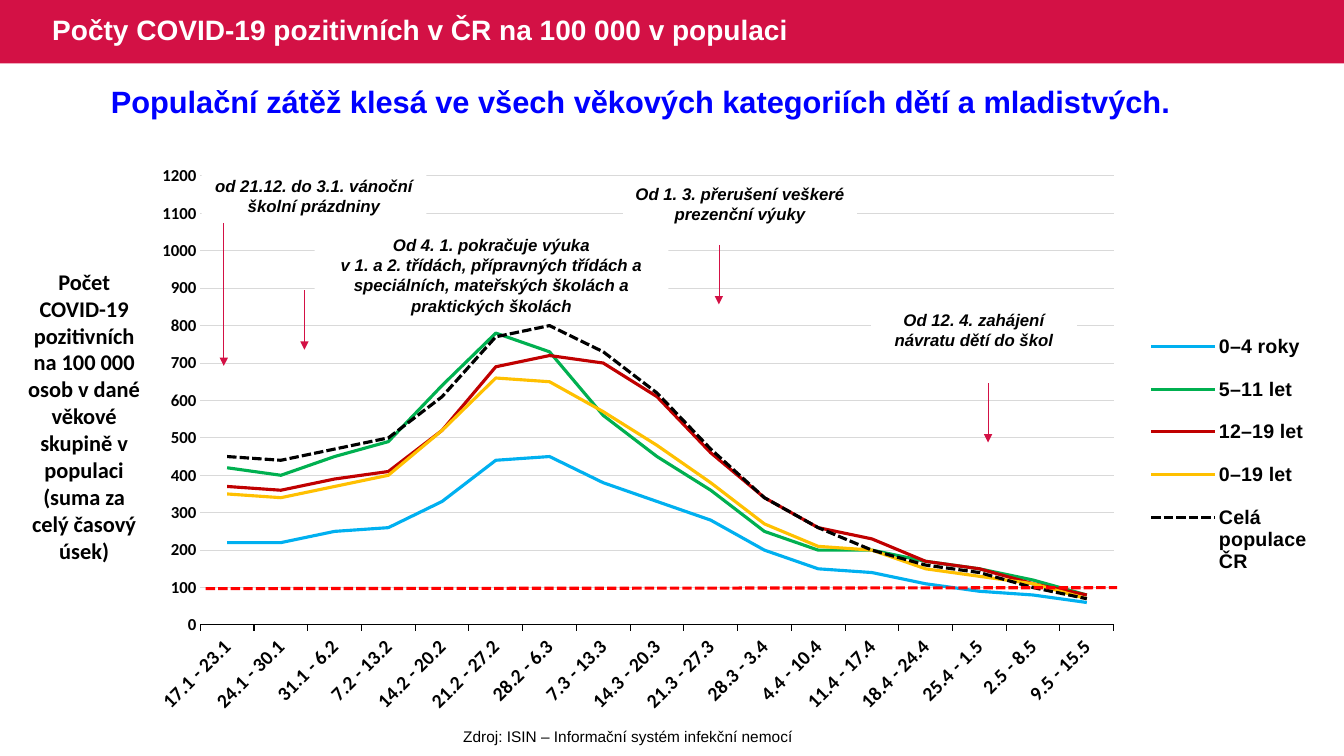
from lxml import etree
from pptx import Presentation
from pptx.chart.data import CategoryChartData as Data
from pptx.dml.color import RGBColor as RGB
from pptx.enum.chart import XL_CHART_TYPE as Kind, XL_LEGEND_POSITION as Side, XL_TICK_MARK as Tick
from pptx.enum.dml import MSO_LINE_DASH_STYLE as Dash
from pptx.enum.shapes import MSO_CONNECTOR as Conn, MSO_SHAPE as Form
from pptx.enum.text import MSO_ANCHOR as Anchor, PP_ALIGN as Align
from pptx.oxml.ns import qn
from pptx.util import Inches, Pt

HUES = {
    "crimson": "D31145", "white": "FFFFFF", "black": "000000",
    "blue": "0000FF", "red": "FF0000", "grid": "D9D9D9",
    "sky": "00B0F0", "green": "00B050", "wine": "C00000", "gold": "FFC000",
}
WEEKS = [
    "17.1 - 23.1", "24.1 - 30.1", "31.1 - 6.2", "7.2 - 13.2", "14.2 - 20.2",
    "21.2 - 27.2", "28.2 - 6.3", "7.3 - 13.3", "14.3 - 20.3", "21.3 - 27.3",
    "28.3 - 3.4", "4.4 - 10.4", "11.4 - 17.4", "18.4 - 24.4", "25.4 - 1.5",
    "2.5 - 8.5", "9.5 - 15.5",
]
AGES = [
    ("0–4 roky", "sky", None,
     [220, 220, 250, 260, 330, 440, 450, 380, 330, 280, 200, 150, 140, 110, 90, 80, 60]),
    ("5–11 let", "green", None,
     [420, 400, 450, 490, 640, 780, 730, 560, 450, 360, 250, 200, 200, 170, 150, 120, 80]),
    ("12–19 let", "wine", None,
     [370, 360, 390, 410, 520, 690, 720, 700, 610, 460, 340, 260, 230, 170, 150, 110, 80]),
    ("0–19 let", "gold", None,
     [350, 340, 370, 400, 520, 660, 650, 570, 480, 380, 270, 210, 200, 150, 130, 110, 70]),
    ("Celá populace ČR", "black", Dash.SQUARE_DOT,
     [450, 440, 470, 500, 610, 770, 800, 730, 620, 470, 340, 260, 200, 160, 140, 100, 70]),
]
NOTES = [
    ((2, 1.69, 2.23, 0.5), ["od 21.12. do 3.1. vánoční školní prázdniny"]),
    ((6.18, 1.77, 2.32, 0.5), ["Od 1. 3. přerušení veškeré prezenční výuky"]),
    ((3.12, 2.28, 3.51, 0.91), [
        "Od 4. 1. pokračuje výuka",
        "v 1. a 2. třídách, přípravných třídách a speciálních, "
        "mateřských školách a praktických školách"]),
    ((8.64, 3.02, 2.04, 0.5), ["Od 12. 4. zahájení návratu dětí do škol"]),
]
ARROWS = [(2.22, 2.21, 3.63), (3.02, 2.88, 3.47), (7.13, 2.43, 3.02), (9.8, 3.8, 4.39)]


class Deck:
    def __init__(self, slide):
        self.slide = slide
        self.note = {"size": 12, "bold": True, "italic": True}

    def style(self, font, hue="black", **look):
        for key, val in {"name": "Arial", **look}.items():
            setattr(font, key, Pt(val) if key == "size" else val)
        font.color.rgb = RGB.from_string(HUES[hue])

    def stroke(self, line, hue, width, dash=None):
        line.color.rgb = RGB.from_string(HUES[hue])
        line.width = Pt(width)
        if dash:
            line.dash_style = dash

    def fill(self, shape, paras, align=Align.CENTER, anchor=Anchor.TOP, space=1, **look):
        frame = shape.text_frame
        frame.word_wrap = True
        frame.vertical_anchor = anchor
        frame.text = "\n".join(paras)
        for para in frame.paragraphs:
            para.alignment = align
            para.line_spacing = space
            self.style(para.runs[0].font, **look)

    def text(self, area, words, **look):
        box = self.slide.shapes.add_textbox(*map(Inches, area))
        self.fill(box, [words], **look)

    def rect(self, area, hue):
        shape = self.slide.shapes.add_shape(Form.RECTANGLE, *map(Inches, area))
        shape.shadow.inherit = False
        shape.fill.solid()
        shape.fill.fore_color.rgb = RGB.from_string(HUES[hue])
        shape.line.fill.background()
        return shape

    def label(self, area, paras):
        self.fill(self.rect(area, "white"), paras, **self.note)

    def line(self, ends, hue, width, dash=None, head=False):
        line = self.slide.shapes.add_connector(Conn.STRAIGHT, *map(Inches, ends))
        self.stroke(line.line, hue, width, dash)
        if head:
            stem = line._element.spPr.find(qn("a:ln"))
            etree.SubElement(stem, qn("a:tailEnd"), type="triangle")
        etree.SubElement(line._element.spPr, qn("a:effectLst"))

    def layout(self, area, inner=False):
        root = etree.Element(qn("c:layout"))
        hand = etree.SubElement(root, qn("c:manualLayout"))
        rows = [("layoutTarget", "inner")] if inner else []
        rows += [("xMode", "edge"), ("yMode", "edge"), *zip("xywh", area)]
        for tag, val in rows:
            etree.SubElement(hand, qn("c:" + tag), val=str(val))
        return root

    def chart(self, area, weeks, ages):
        data = Data(number_format="###0")
        data.categories = weeks
        for name, hue, dash, vals in ages:
            data.add_series(name, vals)
        chart = self.slide.shapes.add_chart(Kind.LINE, *map(Inches, area), data).chart
        chart.has_title = False
        self.style(chart.font, size=14, bold=True)
        chart.plots[0].vary_by_categories = False
        for line, (name, hue, dash, vals) in zip(chart.plots[0].series, ages):
            line.smooth = False
            self.stroke(line.format.line, hue, 2.25, dash)
        self.axes(chart)
        plot = chart._chartSpace.chart.plotArea
        for old in plot.findall(qn("c:layout")):
            plot.remove(old)
        plot.insert(0, self.layout((0.04, 0.035, 0.777, 0.759), inner=True))
        chart.has_legend = True
        key = chart.legend
        key.position = Side.RIGHT
        key.include_in_layout = False
        self.style(key.font, size=14, bold=True)
        for old in key._element.findall(qn("c:layout")):
            key._element.remove(old)
        spot = self.layout((0.84, 0.27, 0.15, 0.47))
        key._element.find(qn("c:legendPos")).addnext(spot)

    def axes(self, chart):
        cat, val = chart.category_axis, chart.value_axis
        forms = [
            (cat, 14, {"major_tick_mark": Tick.OUTSIDE, "has_major_gridlines": False}),
            (val, 12, {"major_tick_mark": Tick.NONE, "has_major_gridlines": True,
                       "minimum_scale": 0, "maximum_scale": 1200, "major_unit": 100}),
        ]
        for axis, size, form in forms:
            for key, item in {"minor_tick_mark": Tick.NONE, **form}.items():
                setattr(axis, key, item)
            self.style(axis.tick_labels.font, name="Calibri", size=size, bold=True)
        cat._element.find(qn("c:txPr")).find(qn("a:bodyPr")).set("rot", "-2700000")
        self.stroke(cat.format.line, "black", 0.75)
        val.format.line.fill.background()
        self.stroke(val.major_gridlines.format.line, "grid", 0.75)
        val.tick_labels.number_format = "###0"
        val.tick_labels.number_format_is_linked = False


def main():
    show = Presentation()
    show.slide_width, show.slide_height = Inches(13.33), Inches(7.5)
    deck = Deck(show.slides.add_slide(show.slide_layouts[6]))
    deck.rect((0, 0, 13.33, 0.63), "crimson")
    deck.text((0.42, 0, 8.37, 0.63), "Počty COVID-19 pozitivních v ČR na 100 000 v populaci",
              align=Align.LEFT, anchor=Anchor.MIDDLE, space=0.9,
              hue="white", size=20, bold=True)
    deck.text((2.36, 7.16, 7.74, 0.29), "Zdroj: ISIN – Informační systém infekční nemocí", size=11)
    deck.chart((1.52, 1.54, 11.66, 5.87), WEEKS, AGES)
    deck.text((0.15, 2.61, 1.37, 3.06),
              "Počet COVID-19 pozitivních na 100 000 osob v dané věkové skupině "
              "v populaci (suma za celý časový úsek)",
              name="Calibri", size=16, bold=True)
    for area, paras in NOTES:
        deck.label(area, paras)
    for x, top, end in ARROWS:
        deck.line((x, top, x, end), "crimson", 0.5, head=True)
    deck.text((0.15, 0.77, 12.41, 0.47),
              "Populační zátěž klesá ve všech věkových kategoriích dětí a mladistvých.",
              hue="blue", size=22, bold=True)
    deck.line((2.04, 5.84, 11.08, 5.83), "red", 2.25, dash=Dash.SQUARE_DOT)
    show.save("out.pptx")


if __name__ == "__main__":
    main()
